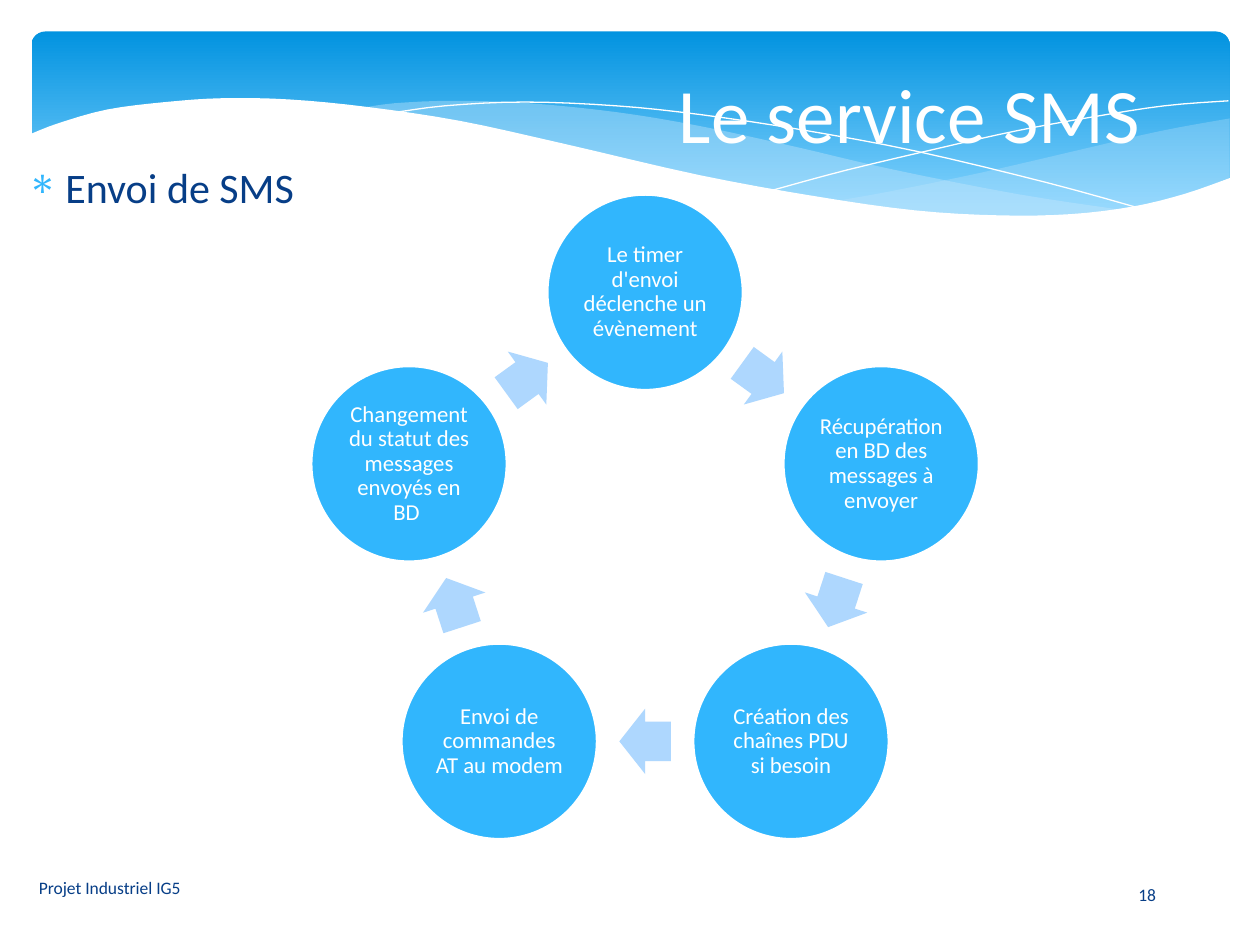
import math
from dataclasses import dataclass

from lxml import etree
from pptx import Presentation
from pptx.dml.color import RGBColor
from pptx.enum.shapes import MSO_SHAPE
from pptx.enum.text import MSO_ANCHOR, PP_ALIGN
from pptx.oxml.ns import qn
from pptx.util import Inches, Pt

ROUNDED, OVAL, ARROW = MSO_SHAPE.ROUNDED_RECTANGLE, MSO_SHAPE.OVAL, MSO_SHAPE.RIGHT_ARROW
LEFT, CENTER = PP_ALIGN.LEFT, PP_ALIGN.CENTER
TOP, MIDDLE = MSO_ANCHOR.TOP, MSO_ANCHOR.MIDDLE

WHITE = RGBColor(0xFF, 0xFF, 0xFF)
NAVY = RGBColor(0x07, 0x3E, 0x87)
SKY = RGBColor(0x31, 0xB6, 0xFD)
PALE_BLUE = RGBColor(0xAE, 0xD7, 0xFE)
MIST = RGBColor(0xC6, 0xE7, 0xFC)
BANNER_TOP = RGBColor(0x02, 0x93, 0xE0)
BANNER_BOTTOM = RGBColor(0x83, 0xD3, 0xFE)

Points = list[tuple[float, float]]


@dataclass
class Wave:
    """Smooth curves joined by straight edges; filled, or stroked when fill is None."""
    curves: list[Points]
    fill: RGBColor | None = None
    opacity: int = 100


@dataclass
class Label:
    text: str
    box: tuple[float, float, float, float]
    size: int
    color: RGBColor = NAVY
    align: PP_ALIGN = LEFT
    anchor: MSO_ANCHOR = MIDDLE
    bullet: str = ""


WAVES = [
    Wave([[(9.76, 0.94), (9.21, 1.04), (8.61, 1.18), (7.79, 1.37), (7.06, 1.52), (6.61, 1.6)],
          [(6.61, 1.6), (7.19, 1.67), (7.69, 1.71), (8.14, 1.72), (8.63, 1.7),
           (9.05, 1.63), (9.42, 1.54), (9.76, 1.41)]], MIST, 29),
    Wave([[(8.93, 1.67), (8.07, 1.54), (7.06, 1.34), (6.29, 1.16), (5.55, 1), (4.89, 0.89),
           (4.2, 0.82), (3.61, 0.8), (3.13, 0.82), (2.86, 0.86)],
          [(2.86, 0.86), (3.42, 0.94), (4.04, 1.06), (4.91, 1.26), (5.66, 1.43), (6.34, 1.56),
           (6.95, 1.65), (7.61, 1.71), (8.18, 1.73), (8.57, 1.71), (8.93, 1.67)]], MIST, 40),
    Wave([[(3.09, 0.9), (3.53, 0.84), (4.16, 0.81), (4.89, 0.84), (5.56, 0.91), (6.36, 1.03),
           (7.27, 1.2), (8.31, 1.45), (9.07, 1.66)]]),
    Wave([[(6.13, 1.51), (6.72, 1.35), (7.48, 1.17), (8.06, 1.04), (8.66, 0.93),
           (9.24, 0.84), (9.75, 0.8)]]),
    Wave([[(9.77, 1.41), (9.4, 1.54), (8.99, 1.64), (8.5, 1.7), (7.93, 1.71), (7.26, 1.67),
           (6.48, 1.56), (5.55, 1.39), (4.47, 1.14), (3.65, 0.96), (2.92, 0.85), (2.3, 0.79),
           (1.77, 0.78), (1.32, 0.81), (0.85, 0.87), (0.46, 0.98), (0.23, 1.07)],
          [(0.23, 2.24), (9.77, 2.24)]], WHITE),
]

LABELS = [
    Label("Envoi de SMS", (0.12, 1.23, 8.1, 3.77), 24, anchor=TOP, bullet="∗"),
    Label("Le service SMS", (2.72, 0.21, 9, 1.37), 44, WHITE, CENTER),
    Label("Projet Industriel IG5", (0.21, 6.84, 4.14, 0.4), 10),
    Label("18", (8.47, 6.9, 1.27, 0.4), 10, align=CENTER),
]

STEPS = [
    "Le timer d'envoi déclenche un évènement",
    "Récupération en BD des messages à envoyer",
    "Création des chaînes PDU si besoin",
    "Envoi de commandes AT au modem",
    "Changement du statut des messages envoyés en BD ",
]
CYCLE_X, CYCLE_Y, CYCLE_RADIUS = 5.12, 4.29, 1.97
CIRCLE_SIZE = 1.55
ARROW_WIDTH, ARROW_HEIGHT = 0.41, 0.52


def smooth(points: Points, steps: int = 4) -> Points:
    """Catmull-Rom curve through the points."""
    padded = [points[0], *points, points[-1]]
    curve = [points[0]]
    for a, b, c, d in zip(padded, padded[1:], padded[2:], padded[3:]):
        for t in (step / steps for step in range(1, steps + 1)):
            curve.append(tuple(
                q + ((r - p) * t + (2 * p - 5 * q + 4 * r - s) * t**2
                     + (3 * q - p - 3 * r + s) * t**3) / 2
                for p, q, r, s in zip(a, b, c, d)))
    return curve


def add_shape(slide, kind: MSO_SHAPE, box: tuple, fill: RGBColor | None = None):
    shape = slide.shapes.add_shape(kind, *map(Inches, box))
    shape.shadow.inherit = False
    shape.line.fill.background()
    if fill is not None:
        shape.fill.solid()
        shape.fill.fore_color.rgb = fill
    return shape


def add_wave(slide, wave: Wave) -> None:
    points = [(Inches(x), Inches(y)) for curve in wave.curves
              for x, y in (smooth(curve) if len(curve) > 2 else curve)]
    builder = slide.shapes.build_freeform(*points[0])
    builder.add_line_segments(points[1:], close=wave.fill is not None)
    shape = builder.convert_to_shape()
    shape.shadow.inherit = False
    if wave.fill is None:
        shape.fill.background()
        shape.line.color.rgb = WHITE
        shape.line.width = Pt(0)
        return
    shape.line.fill.background()
    shape.fill.solid()
    shape.fill.fore_color.rgb = wave.fill
    if wave.opacity < 100:
        color = shape.fill._xPr.find(".//" + qn("a:srgbClr"))
        etree.SubElement(color, qn("a:alpha"), val=str(wave.opacity * 1000))


def write_text(frame, text: str, size: int, color: RGBColor, align: PP_ALIGN,
               anchor: MSO_ANCHOR, **frame_format):
    for name, value in {"word_wrap": True, "vertical_anchor": anchor, **frame_format}.items():
        setattr(frame, name, value)
    paragraph = frame.paragraphs[0]
    paragraph.alignment = align
    run = paragraph.add_run()
    run.text = text
    for name, value in {"name": "Calibri", "size": Pt(size)}.items():
        setattr(run.font, name, value)
    run.font.color.rgb = color
    return paragraph


def add_label(slide, label: Label) -> None:
    frame = slide.shapes.add_textbox(*map(Inches, label.box)).text_frame
    paragraph = write_text(frame, label.text, label.size, label.color, label.align, label.anchor)
    if label.bullet:
        properties = paragraph._p.get_or_add_pPr()
        properties.set("marL", str(Inches(0.3)))
        properties.set("indent", str(Inches(-0.3)))
        bullet_color = etree.SubElement(properties, qn("a:buClr"))
        etree.SubElement(bullet_color, qn("a:srgbClr"), val=str(SKY))
        etree.SubElement(properties, qn("a:buChar"), char=label.bullet)


def cycle_box(angle: float, radius: float, width: float, height: float) -> tuple:
    """Box centred on the cycle at a clockwise angle from the top."""
    x = CYCLE_X + radius * math.sin(math.radians(angle))
    y = CYCLE_Y - radius * math.cos(math.radians(angle))
    return x - width / 2, y - height / 2, width, height


def add_cycle(slide, steps: list[str]) -> None:
    turn = 360 / len(steps)
    arrow_radius = CYCLE_RADIUS * math.cos(math.radians(turn / 2))
    insets = dict.fromkeys(
        ("margin_left", "margin_top", "margin_right", "margin_bottom"), Inches(0.02))
    for index, text in enumerate(steps):
        angle = index * turn
        circle = add_shape(
            slide, OVAL, cycle_box(angle, CYCLE_RADIUS, CIRCLE_SIZE, CIRCLE_SIZE), SKY)
        circle.line.color.rgb = WHITE
        circle.line.width = Pt(1.25)
        paragraph = write_text(circle.text_frame, text, 13, WHITE, CENTER, MIDDLE, **insets)
        paragraph.line_spacing = 0.9

        middle = angle + turn / 2
        arrow = add_shape(
            slide, ARROW, cycle_box(middle, arrow_radius, ARROW_WIDTH, ARROW_HEIGHT), PALE_BLUE)
        arrow.adjustments[0] = 0.6
        arrow.rotation = middle


def add_banner(slide) -> None:
    banner = add_shape(slide, ROUNDED, (0.25, 0.25, 9.51, 1.56))
    banner.adjustments[0] = 0.07
    banner.fill.gradient()
    banner.fill.gradient_angle = 270
    colors = ((0, BANNER_TOP), (0.9, BANNER_BOTTOM))
    for stop, (position, color) in zip(banner.fill.gradient_stops, colors):
        stop.position = position
        stop.color.rgb = color


def main() -> None:
    presentation = Presentation()
    presentation.slide_width, presentation.slide_height = Inches(10), Inches(7.5)
    slide = presentation.slides.add_slide(presentation.slide_layouts[6])

    # Banner with waves
    add_banner(slide)
    for wave in WAVES:
        add_wave(slide, wave)

    # Title, heading and footer
    for label in LABELS:
        add_label(slide, label)

    # Sending cycle
    add_cycle(slide, STEPS)

    presentation.save("out.pptx")


if __name__ == "__main__":
    main()
